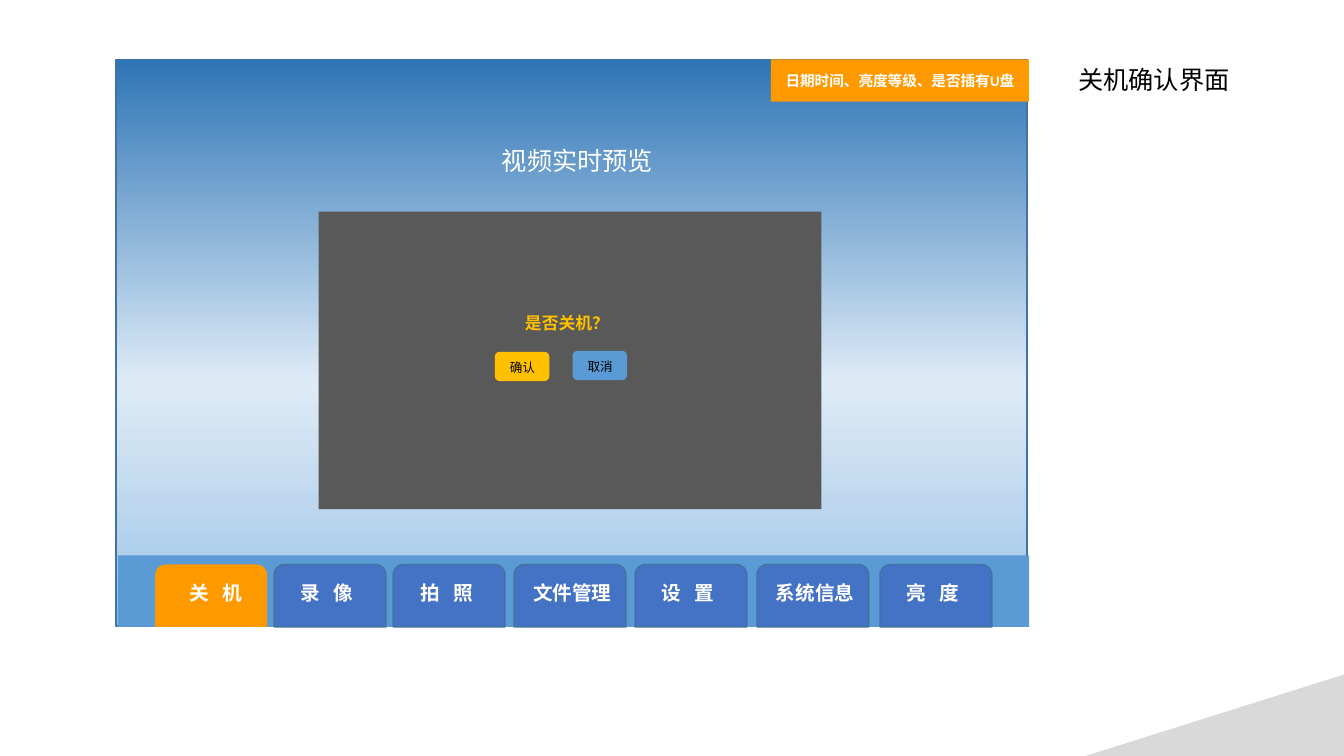
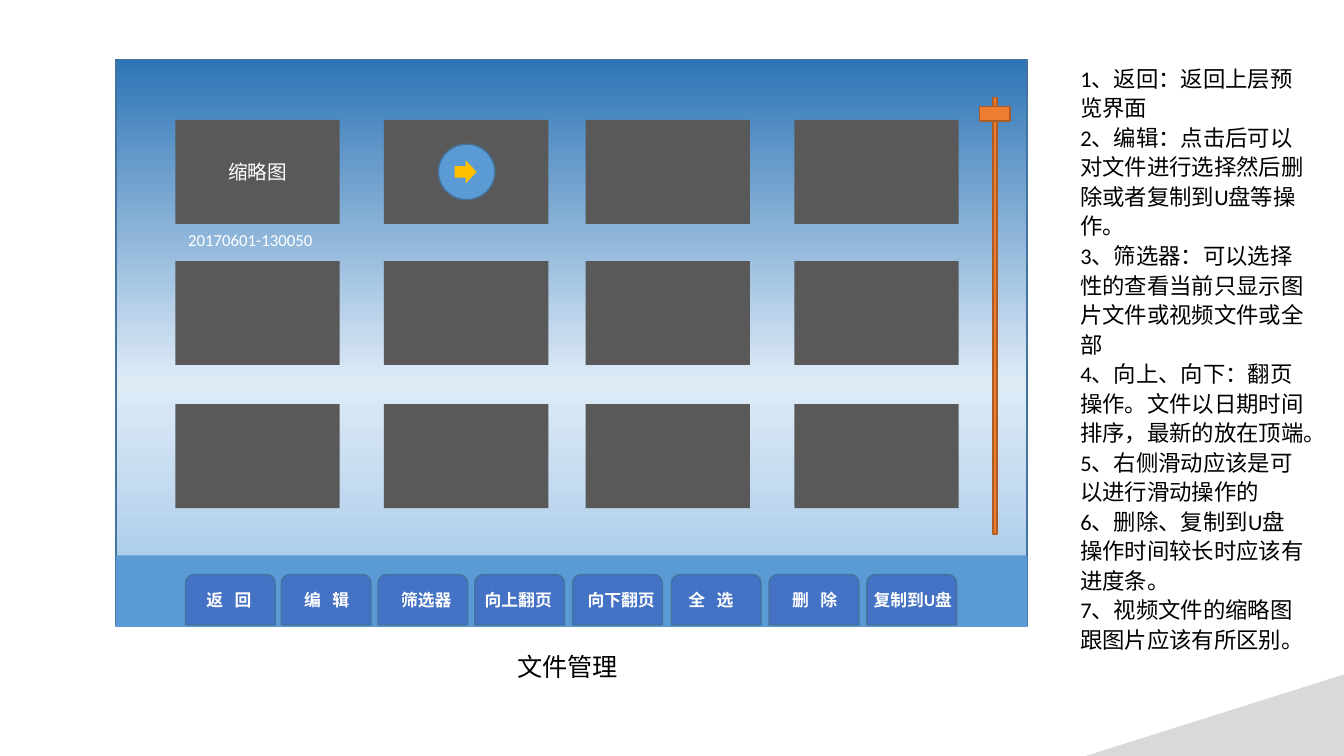
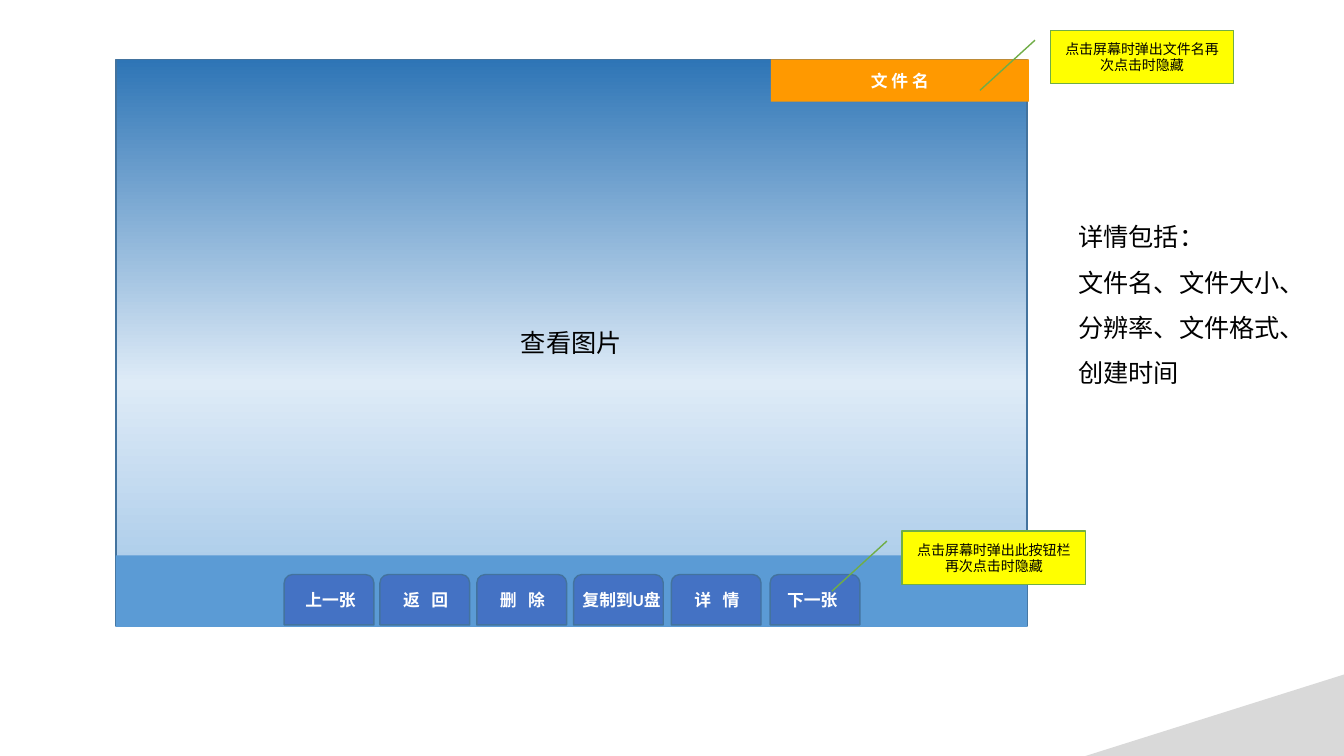
from copy import deepcopy
from dataclasses import dataclass

from pptx import Presentation
from pptx.dml.color import RGBColor as Rgb
from pptx.enum.shapes import MSO_SHAPE as Kind
from pptx.enum.text import MSO_ANCHOR as Anchor, MSO_AUTO_SIZE as Fit, PP_ALIGN as Align
from pptx.oxml.ns import qn
from pptx.util import Pt


@dataclass(frozen=True)
class Theme:
    font: str = "Calibri"
    white: str = "FFFFFF"
    black: str = "000000"
    blue: str = "5B9BD5"
    tab: str = "4472C4"
    edge: str = "43739E"
    orange: str = "FF9900"
    gold: str = "FFC000"
    gray: str = "595959"
    corner: str = "D9D9D9"
    slider: str = "ED7D31"
    rim: str = "AF5C24"
    yellow: str = "FFFF00"
    green: str = "70AD47"
    sky: tuple = ((0, "2E75B6"), (0.57, "DEEBF7"), (1, "9DC3E6"))
    title: int = 18
    note: int = 16
    big: int = 14
    small: int = 12
    flag: float = 10.5
    tip: int = 10
    key: int = 9


T = Theme()

# Content: tabs are (label, tab left, label left)
HOME = [
    ("关 机", 110.9, 128.2), ("录 像", 195.8, 207.4), ("拍 照", 280.8, 293),
    ("文件管理", 367.2, 373.7), ("设 置", 453.6, 465.1),
    ("系统信息", 540.7, 547.2), ("亮 度", 628.6, 640.1),
]
FILES = [
    ("返 回", 132.5, 140.4), ("编 辑", 200.9, 210.2), ("筛选器", 270, 279.4),
    ("向上翻页", 339.1, 339.1), ("向下翻页", 409, 412.6), ("全 选", 479.5, 484.6),
    ("删 除", 549.4, 558.7), ("复制到U盘", 619.2, 617),
]
VIEW = [
    ("上一张", 203, 211), ("返 回", 271.4, 280.8), ("删 除", 340.6, 349.9),
    ("复制到U盘", 409.7, 409), ("详 情", 479.5, 488.9), ("下一张", 550.1, 555.1),
]
KEYS = [("确认", 353.5, 251.3, T.gold), ("取消", 409, 250.6, T.blue)]
NOTES = [
    "1、返回：返回上层预览界面",
    "2、编辑：点击后可以对文件进行选择然后删除或者复制到U盘等操作。",
    "3、筛选器：可以选择性的查看当前只显示图片文件或视频文件或全部",
    "4、向上、向下：翻页操作。文件以日期时间排序，最新的放在顶端。",
    "5、右侧滑动应该是可以进行滑动操作的",
    "6、删除、复制到U盘操作时间较长时应该有进度条。",
    "7、视频文件的缩略图跟图片应该有所区别。",
]
DETAIL = ["详情包括：", "文件名、文件大小、分辨率、文件格式、创建时间"]
TIPS = [
    ("点击屏幕时弹出此按钮栏再次点击时隐藏", 644.4, 379.4),
    ("点击屏幕时弹出文件名再次点击时隐藏", 750.2, 21.6),
]

# Geometry shared by the slides
SCREEN = (82.8, 42.5, 650.9, 404.6)
COLS = (125.3, 274.3, 418.3, 567.4)
ROWS = (85.7, 186.5, 288.7)
BIG = (T.big, 403.2, 79.9, 44.6, 411.1)
SMALL = (T.small, 410.4, 64.1, 36, 417.6)


def write(frame, lines, size, color, bold=False, space=None, align=Align.LEFT, track=0):
    for i, line in enumerate(lines):
        para = frame.paragraphs[0] if i == 0 else frame.add_paragraph()
        para.alignment = align
        if space:
            para.line_spacing = space
        run = para.add_run()
        run.text = line
        font = run.font
        font.name, font.size, font.bold = T.font, Pt(size), bold
        font.color.rgb = Rgb.from_string(color)
        if track:
            run._r.get_or_add_rPr().set("spc", str(track))


def box(home, at, fill, line=None, kind=Kind.RECTANGLE):
    part = home.shapes.add_shape(kind, *map(Pt, at))
    part.shadow.inherit = False
    if fill:
        part.fill.solid()
        part.fill.fore_color.rgb = Rgb.from_string(fill)
    if line:
        part.line.color.rgb = Rgb.from_string(line)
        part.line.width = Pt(1)
    else:
        part.line.fill.background()
    return part


def inside(part, words, size, color, bold=False):
    frame = part.text_frame
    frame.word_wrap = True
    frame.vertical_anchor = Anchor.MIDDLE
    write(frame, [words], size, color, bold, align=Align.CENTER)


def text(home, at, lines, size, color=T.black, wrap=True, **look):
    frame = home.shapes.add_textbox(*map(Pt, at)).text_frame
    frame.word_wrap = wrap
    frame.auto_size = Fit.SHAPE_TO_FIT_TEXT if wrap else Fit.NONE
    write(frame, lines, size, color, **look)


def base(deck, left=SCREEN[0]):
    """Blank slide with the gradient screen, button bar and gray corner."""
    slide = deck.slides.add_slide(deck.slide_layouts[6])
    screen = box(slide, SCREEN, None, T.edge)
    screen.fill.gradient()
    screen.fill.gradient_angle = 270
    stops = screen._element.spPr.find(".//" + qn("a:gsLst"))
    stops.append(deepcopy(stops[-1]))
    for stop, (place, color) in zip(screen.fill.gradient_stops, T.sky):
        stop.position = place
        stop.color.rgb = Rgb.from_string(color)
    box(slide, (left, 396.7, 650.9, 51.1), T.blue)
    corner = box(slide, (775.4, 481.7, 185, 58.3), T.corner, kind=Kind.RIGHT_TRIANGLE)
    corner._element.spPr.xfrm.set("flipH", "1")
    return slide


def tabs(slide, items, style, active=None):
    size, top, wide, high, base_top = style
    for label, left, start in items:
        group = slide.shapes.add_group_shape()
        lit = label == active
        box(group, (left, top, wide, high), T.orange if lit else T.tab,
            None if lit else T.edge, Kind.ROUND_2_SAME_RECTANGLE)
        text(group, (start, base_top, size * len(label) + 15, size * 1.9), [label],
             size, T.white, wrap=False, bold=True,
             track=size * 23 if " " in label else 0)


def banner(slide, words, size):
    inside(box(slide, (550.6, 42.5, 184.4, 30.2), T.orange), words, size, T.white, True)


deck = Presentation()
deck.slide_width, deck.slide_height = Pt(960), Pt(540)

# Slide 1: shutdown prompt
slide = base(deck, 84.2)
box(slide, (227.5, 151.2, 359.3, 212.4), T.gray)
text(slide, (351.4, 100.1, 130.3, 28.8), ["视频实时预览"], T.title, T.white)
text(slide, (763.2, 42.5, 148.3, 28.8), ["关机确认界面"], T.title)
tabs(slide, HOME, BIG, active="关 机")
banner(slide, "日期时间、亮度等级、是否插有U盘", T.flag)
text(slide, (367.9, 219.6, 79.9, 21.6), ["是否关机？"], T.small, T.gold, bold=True)
for word, left, top, color in KEYS:
    box(slide, (left, top, 38.9, 20.9), color, kind=Kind.ROUNDED_RECTANGLE)
    text(slide, (left + 3.6, top + 2.2, 33.8, 18), [word], T.key)

# Slide 2: file manager
slide = base(deck)
cards = [box(slide, (x, y, 117.4, 74.2), T.gray) for y in ROWS for x in COLS]
inside(cards[0], "缩略图", T.big, T.white)
box(slide, (313.2, 103, 40.3, 39.6), T.blue, T.edge, Kind.OVAL)
box(slide, (324.7, 114.5, 15.8, 16.6), T.gold, kind=Kind.RIGHT_ARROW)
text(slide, (127.4, 160.6, 113, 21.6), ["20170601-130050"], T.small, T.white)
text(slide, (362.2, 461.5, 92.9, 28.8), ["文件管理"], T.title)
text(slide, (764.6, 41, 175.7, 429.1), NOTES, T.note, space=1.1)
for at in ((709.2, 69.8, 2.9, 311.8), (699.8, 76.3, 21.6, 10.1)):
    box(slide, at, T.slider, T.rim)
tabs(slide, FILES, SMALL)

# Slide 3: picture viewer
slide = base(deck)
tabs(slide, VIEW, SMALL)
text(slide, (365, 230.4, 88, 28.8), ["查看图片"], T.title)
banner(slide, "文 件 名", T.small)
for words, left, top in TIPS:
    tip = box(slide, (left, top, 131, 38.2), T.yellow, T.green, Kind.LINE_CALLOUT_1)
    inside(tip, words, T.tip, T.black)
text(slide, (763.2, 144, 162.7, 136.8), DETAIL, T.title, space=1.5)

deck.save("out.pptx")
